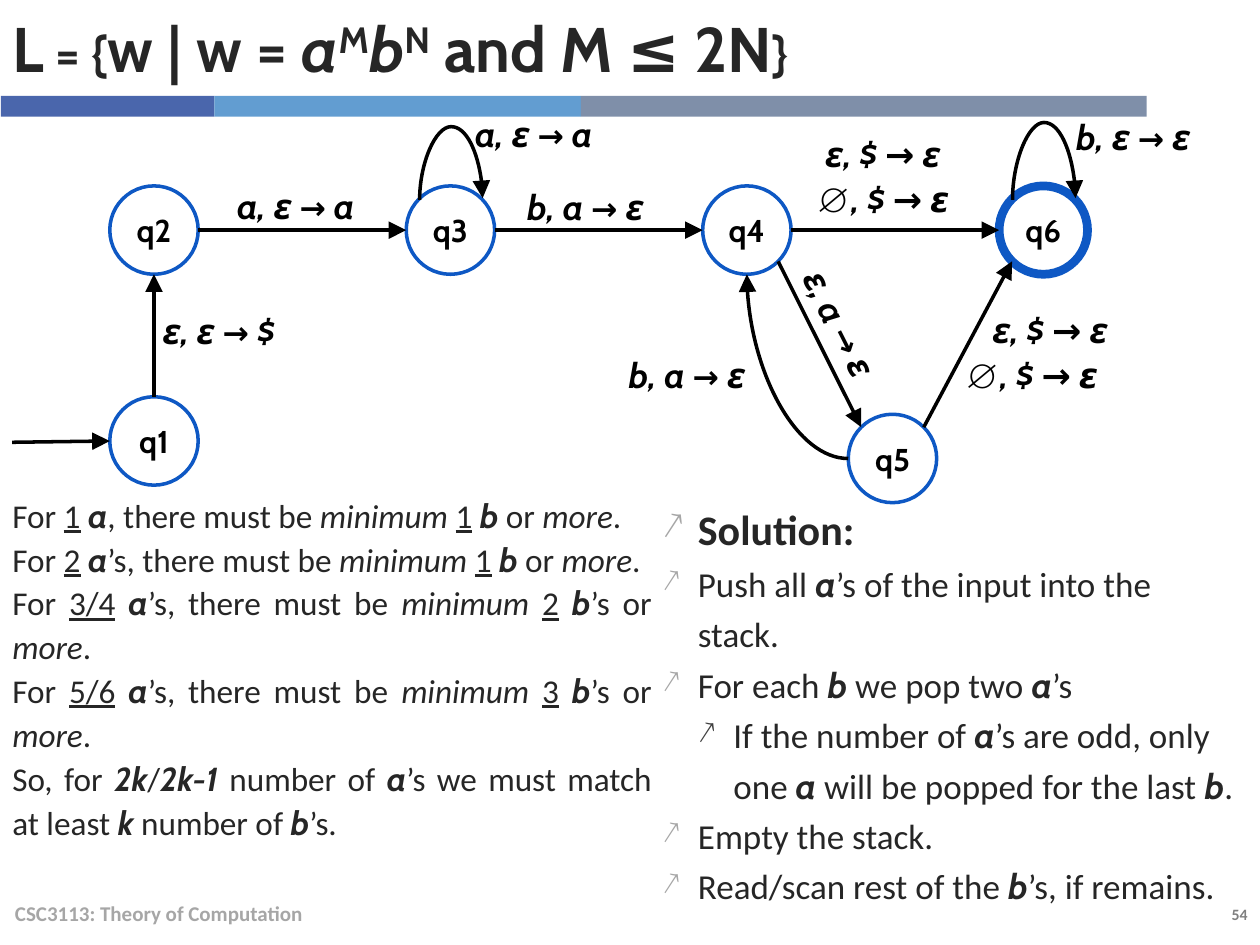
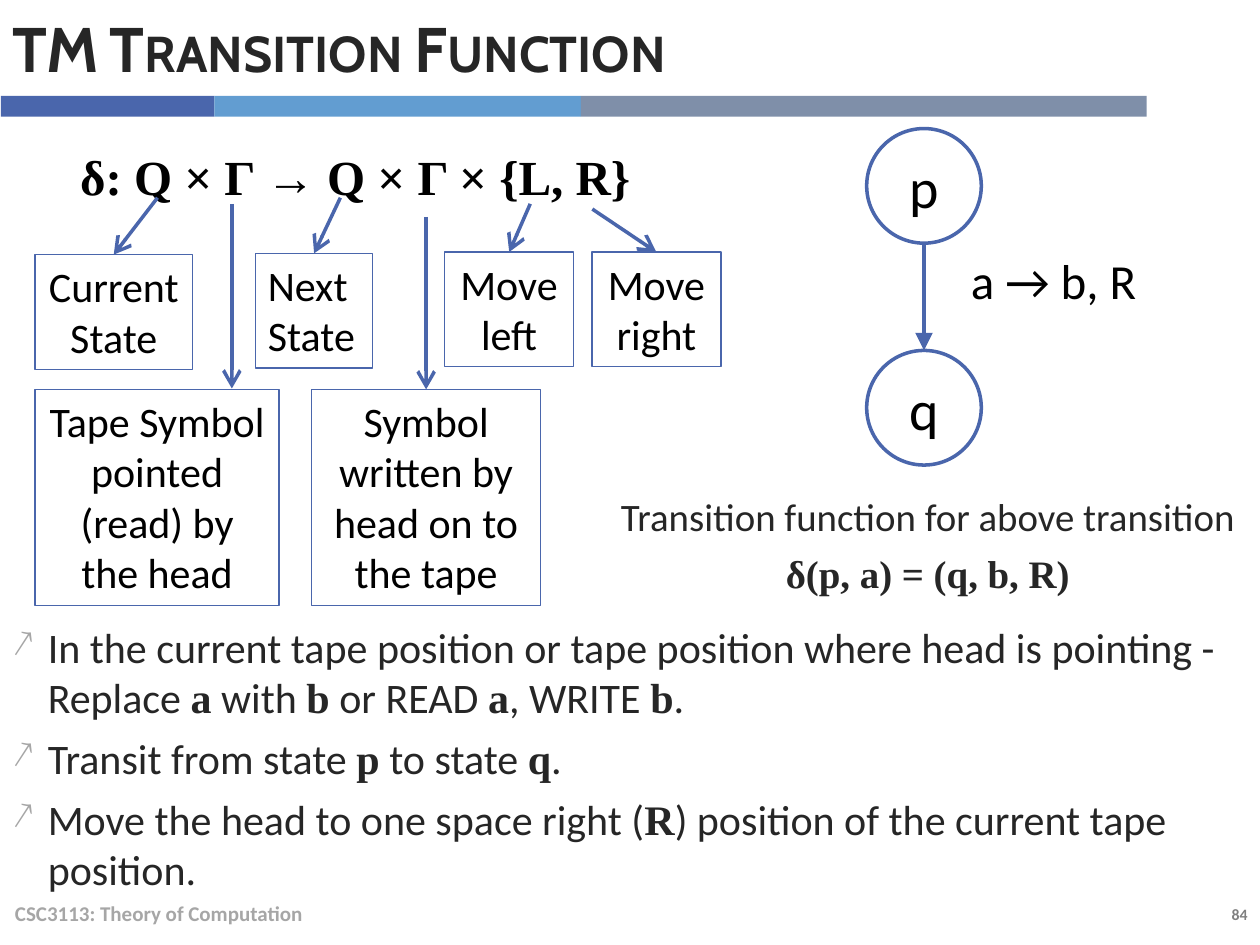
"""Build two lecture slides: a pushdown automaton and the Turing machine transition function."""
import math
from dataclasses import dataclass, replace
from typing import NamedTuple, Optional, Sequence

import lxml.etree
import pptx
import pptx.dml.color
import pptx.enum.shapes
import pptx.enum.text
import pptx.oxml.ns
import pptx.slide
import pptx.util

COLORS = {
    "ink": "000000", "text": "262626", "paper": "FFFFFF", "state": "0E58C4",
    "navy": "4A66AC", "sky": "629DD1", "slate": "7F8FA9",
    "footer": "A6A6A6", "number": "808080", "sub_bullet": "404040",
}
ALIGN = pptx.enum.text.PP_ALIGN
ANCHOR = pptx.enum.text.MSO_ANCHOR
SHAPE = pptx.enum.shapes.MSO_SHAPE
CONNECTOR = pptx.enum.shapes.MSO_CONNECTOR
TIMES = "Times New Roman"
MARKS = "*_~^#>+!"
qn = pptx.oxml.ns.qn


class Point(NamedTuple):
    x: float
    y: float


class Box(NamedTuple):
    left: float
    top: float
    width: float
    height: float


class Label(NamedTuple):
    text: str
    left: float
    top: float
    rotation: float = 0


class Note(NamedTuple):
    text: str
    box: Box
    align: ALIGN = ALIGN.CENTER


class Circle(NamedTuple):
    name: str
    x: float
    y: float
    radius: float = 25.25
    line_width: float = 2

    def rim(self, degrees: float) -> Point:
        """Return the point of the rim at a clockwise angle from the right."""
        angle = math.radians(degrees)
        return Point(self.x + self.radius * math.cos(angle), self.y + self.radius * math.sin(angle))


@dataclass(frozen=True)
class Style:
    size: float
    font: str = "Calibri"
    color: str = "text"
    bold: bool = False
    italic: bool = False
    symbol_font: str = "Cabin"
    align: ALIGN = ALIGN.LEFT
    anchor: ANCHOR = ANCHOR.TOP
    line_spacing: float = 1
    space_before: float = 0
    bullets: bool = False


CENTERED = {"align": ALIGN.CENTER, "anchor": ANCHOR.MIDDLE}
TITLE = Style(36, "Cabin", bold=True, anchor=ANCHOR.MIDDLE)
STATE_NAME = Style(18, "Cabin", "ink", bold=True, **CENTERED)
EDGE_LABEL = Style(20, "Cabin", "ink", bold=True, italic=True, **CENTERED)
FOOTER = Style(12, color="footer", bold=True, anchor=ANCHOR.MIDDLE)
NUMBER = Style(9, color="number", bold=True, align=ALIGN.RIGHT)

BANDS = [(0.5, 122, "navy"), (122.5, 209.5, "sky"), (332, 323.25, "slate")]
COLUMN, ROW = 169.4, 131.5
Q1, Q5 = Circle("q1", 88, 252), Circle("q5", 510, 262)
Q2, Q3, Q4 = (Circle(f"q{i + 2}", 88 + COLUMN * i, ROW) for i in range(3))
Q6 = Circle("q6", 88 + COLUMN * 3, ROW, line_width=5)
EDGE_LABELS = [
    Label("a, ε >→> a", 117.5, 100), Label("b, a >→> ε", 283, 100.5),
    Label("ε, a >→> ε", 428.5, 167.5, 63.2), Label("a, ε >→> a", 253.5, 59),
    Label("b, ε >→> ε", 596, 60.5), Label("b, a >→> ε", 341, 196.5),
    Label("ε, ε >→> $", 73.5, 171.5), Label("ε, $ → ε", 453, 70.5),
    Label("!∅!, $ → ε", 453, 96), Label("ε, $ → ε", 548.5, 171),
    Label("!∅!, $ → ε", 538, 197),
]
COUNTS = [
    f"For _{a}_ *a*{a_end}, there must be ~minimum ~_{b}_ *b*{b_end} or ~more~."
    for a, a_end, b, b_end in (("1", "", 1, ""), ("2", "’s", 1, ""), ("3/4", "’s", 2, "’s"),
                               ("5/6", "’s", 3, "’s"))
] + ["So, for *2k*/*2k-1* number of *a*’s we must match at least *k* number of *b*’s."]
SOLUTION = [
    "+Solution:+",
    "Push all *a*’s of the input into the stack.",
    "For each *b* we pop two *a*’s",
    "\tIf the number of *a*’s are odd, only one *a* will be popped for the last *b*.",
    "Empty the stack.",
    "Read/scan rest of the *b*’s, if remains.",
]
NOTES = [
    Note("Current State", Box(20, 145.5, 90, 65.5)),
    Note("Tape Symbol pointed (read) by the head", Box(20, 222.5, 139.5, 123.75)),
    Note("Next State", Box(146, 144.75, 67, 65.5), ALIGN.LEFT),
    Note("Symbol written by head on to the tape", Box(178, 222.5, 131, 123.75)),
    Note("Move left", Box(254, 144, 73.75, 65.5)),
    Note("Move right", Box(338.25, 144, 73.75, 65.5)),
]
POINTERS = [
    (Point(90, 113), Point(65, 145.5)), (Point(132.5, 116.5), Point(132.5, 222)),
    (Point(194.5, 113), Point(179.5, 144.75)), (Point(243.5, 124), Point(243.5, 222.5)),
    (Point(303, 116.5), Point(291, 144)), (Point(338.5, 119.5), Point(375, 144)),
]
STEPS = [
    "In the current tape position or tape position where head is pointing - "
    "Replace *a* with *b* or READ *a*, WRITE *b*.",
    "Transit from state *p* to state *q*.",
    "Move the head to one space right (*R*) position of the current tape position.",
]


def rgb(name: str) -> pptx.dml.color.RGBColor:
    """Look up a named colour."""
    return pptx.dml.color.RGBColor.from_string(COLORS[name])


def points(values: Sequence[float]) -> list[pptx.util.Length]:
    """Convert numbers to point lengths."""
    return [pptx.util.Pt(value) for value in values]


def format_run(run, marks: set[str], style: Style) -> None:
    """Apply * symbol, _ underline, ~ italic, ^ superscript, # caps, > small, + strong, ! upright."""
    symbol, upright, font = "*" in marks, "!" in marks, run.font
    font.name = TIMES if upright else style.symbol_font if symbol else style.font
    font.size = pptx.util.Pt(style.size * (0.9 if ">" in marks else 1.2 if "+" in marks else 1))
    font.bold = not upright and (style.bold or symbol or "+" in marks)
    slanted_symbol = symbol and style.symbol_font != TIMES
    font.italic = not upright and (style.italic or "~" in marks or slanted_symbol)
    font.underline = "_" in marks
    font.color.rgb = rgb(style.color)
    if "^" in marks:
        run._r.get_or_add_rPr().set("baseline", "30000")
    if "#" in marks:
        run._r.get_or_add_rPr().set("cap", "small")


def write_runs(paragraph, marked: str, style: Style) -> None:
    """Split marked text into formatted runs."""
    active: set[str] = set()
    piece = ""
    for char in marked + MARKS[0]:
        if char not in MARKS:
            piece += char
            continue
        if piece:
            run = paragraph.add_run()
            run.text, piece = piece, ""
            format_run(run, active, style)
        active ^= {char}


def add_bullet(paragraph) -> None:
    """Give a paragraph a hanging arrow bullet."""
    indent, level = pptx.util.Pt(20.25), paragraph.level
    properties = paragraph._p.get_or_add_pPr()
    properties.set("marL", str(indent * (level + 1)))
    properties.set("indent", str(-indent))
    color = lxml.etree.SubElement(properties, qn("a:buClr"))
    lxml.etree.SubElement(color, qn("a:srgbClr"), val=COLORS["sub_bullet" if level else "footer"])
    lxml.etree.SubElement(properties, qn("a:buSzPct"), val="90000")
    lxml.etree.SubElement(properties, qn("a:buChar"), char="↗")


def fill_text(frame, lines: Sequence[str], style: Style) -> None:
    """Fill a text frame; a leading tab lowers a line by one level."""
    frame.word_wrap = True
    frame.auto_size = pptx.enum.text.MSO_AUTO_SIZE.NONE
    frame.vertical_anchor = style.anchor
    for index, line in enumerate(lines):
        paragraph = frame.add_paragraph() if index else frame.paragraphs[0]
        paragraph.alignment = style.align
        paragraph.level = line.count("\t")
        paragraph.line_spacing = float(style.line_spacing)
        if index:
            paragraph.space_before = pptx.util.Pt(style.space_before)
        if style.bullets:
            add_bullet(paragraph)
        write_runs(paragraph, line.lstrip("\t"), style)


def add_text(slide: pptx.slide.Slide, box: Box, lines: Sequence[str], style: Style,
             rotation: float = 0) -> None:
    """Add a text box."""
    area = slide.shapes.add_textbox(*points(box))
    area.rotation = rotation
    fill_text(area.text_frame, lines, style)


def add_figure(slide: pptx.slide.Slide, kind: SHAPE, box: Box, fill: Optional[str] = None,
               line: Optional[str] = None, line_width: float = 2):
    """Add a flat preset shape."""
    figure = slide.shapes.add_shape(kind, *points(box))
    figure.shadow.inherit = False
    figure.line.width = pptx.util.Pt(line_width)
    for paint, color in ((figure.fill, fill), (figure.line.fill, line)):
        if color:
            paint.solid()
            paint.fore_color.rgb = rgb(color)
        else:
            paint.background()
    return figure


def add_circle(slide: pptx.slide.Slide, circle: Circle, style: Style, line: str,
               fill: Optional[str] = None) -> None:
    """Add a named state."""
    name, x, y, radius, width = circle
    box = Box(x - radius, y - radius, 2 * radius, 2 * radius)
    frame = add_figure(slide, SHAPE.OVAL, box, fill, line, width).text_frame
    frame.margin_left = frame.margin_right = frame.margin_top = frame.margin_bottom = 0
    fill_text(frame, [name], style)


def add_arrow(slide: pptx.slide.Slide, start: Point, end: Point, color: str = "ink",
              head: str = "triangle", kind: CONNECTOR = CONNECTOR.STRAIGHT, tip: str = "tailEnd"):
    """Add a connector with one large arrowhead."""
    arrow = slide.shapes.add_connector(kind, *points(start + end))
    arrow.line.color.rgb = rgb(color)
    arrow.line.width = pptx.util.Pt(2)
    outline = arrow.element.spPr.find(qn("a:ln"))
    lxml.etree.SubElement(outline, qn(f"a:{tip}"), type=head, w="lg", len="lg")
    lxml.etree.SubElement(arrow.element.spPr, qn("a:effectLst"))
    return arrow


def add_curve(slide: pptx.slide.Slide, start: Point, end: Point, turn: int, preset: str,
              tip: str, bend: float = 0) -> None:
    """Add a curved arrow turned a quarter clockwise (1) or back (-1)."""
    x, y = (start.x + end.x) / 2, (start.y + end.y) / 2
    corners = [Point(x + turn * (p.y - y), y - turn * (p.x - x)) for p in (start, end)]
    properties = add_arrow(slide, *corners, kind=CONNECTOR.CURVE, tip=tip).element.spPr
    properties.find(qn("a:xfrm")).set("rot", str(turn % 4 * 90 * 60000))
    geometry = properties.find(qn("a:prstGeom"))
    geometry.set("prst", preset)
    if bend:
        lxml.etree.SubElement(geometry.find(qn("a:avLst")), qn("a:gd"), name="adj1",
                              fmla=f"val {round(bend * 100000)}")


def start_slide(deck, title: str, number: int) -> pptx.slide.Slide:
    """Add a slide with title, bands, footer and number."""
    slide = deck.slides.add_slide(deck.slide_layouts[5])
    heading = slide.shapes.title
    heading.left, heading.top, heading.width, heading.height = points((0, 0, 655, 54))
    fill_text(heading.text_frame, [title], TITLE)
    for left, width, color in BANDS:
        add_figure(slide, SHAPE.RECTANGLE, Box(left, 54.75, width, 12), color)
    add_text(slide, Box(1.5, 507.5, 482.5, 29), ["CSC3113: Theory of Computation"], FOOTER)
    add_text(slide, Box(628.5, 513.25, 91.5, 18), [str(number)], NUMBER)
    return slide


def build_automaton(deck) -> None:
    """Draw the pushdown automaton slide."""
    slide = start_slide(deck, "#L = {#w | w = ~a~^M^~b~^N^ and M ≤ 2N#}#", 54)
    add_text(slide, Box(0, 277, 379.5, 237), COUNTS, Style(19, align=ALIGN.JUSTIFY, line_spacing=1.1))
    for state in (Q1, Q2, Q3, Q5, Q4, Q6):
        add_circle(slide, state, STATE_NAME, "state", "paper")
    for start, end in ((Point(7, 252.75), Q1.rim(180)), (Q1.rim(270), Q2.rim(90)),
                       (Q2.rim(0), Q3.rim(180)), (Q3.rim(0), Q4.rim(180)), (Q4.rim(0), Q6.rim(180)),
                       (Q5.rim(-45), Q6.rim(135)), (Q4.rim(45), Q5.rim(225))):
        add_arrow(slide, start, end)
    add_curve(slide, Q4.rim(90), Q5.rim(180), -1, "curvedConnector2", "headEnd")
    for state, rise in ((Q3, 42.18), (Q6, 44.58)):
        start, end = Point(state.x - 17.6, 114.25), Point(state.x + 18.4, 113.25)
        add_curve(slide, start, end, 1, "curvedConnector3", "tailEnd", rise)
    for text, left, top, rotation in EDGE_LABELS:
        add_text(slide, Box(left, top, 103, 34.5), [text], EDGE_LABEL, rotation)
    add_text(slide, Box(371.5, 278.5, 343, 235.5), SOLUTION, Style(20, line_spacing=1.2, bullets=True))


def build_transition(deck) -> None:
    """Draw the transition function slide."""
    slide = start_slide(deck, "#TM Transition Function#", 84)
    steps = Style(24, symbol_font=TIMES, space_before=6, bullets=True)
    add_text(slide, Box(0, 351.5, 719.5, 155.5), STEPS, steps)
    add_text(slide, Box(38.75, 80, 336, 41), ["δ: Q × Γ → Q × Γ × {L, R}"], Style(28, TIMES, "ink", True))
    for text, box, align in NOTES:
        note = add_figure(slide, SHAPE.RECTANGLE, box, line="navy", line_width=0.75)
        fill_text(note.text_frame, [text], Style(24, color="ink", align=align))
    for start, end in POINTERS:
        add_arrow(slide, start, end, "navy", "arrow")
    add_text(slide, Box(340.5, 278, 379.5, 68.5),
             ["Transition function for above transition", "*δ(p, a) = (q, b, R)*"],
             replace(steps, size=22.2, align=ALIGN.CENTER, bullets=False))
    p, q = Circle("p", 528, 106.2, 32.75), Circle("q", 528, 233, 32.75)
    for state in (p, q):
        add_circle(slide, state, Style(32, color="ink", **CENTERED), "navy")
    add_arrow(slide, p.rim(90), q.rim(270), "navy")
    add_text(slide, Box(540.5, 134, 123, 52.5), ["a → b, R"], Style(28, color="ink", **CENTERED))


deck = pptx.Presentation()
deck.slide_width, deck.slide_height = points((720, 540))
build_automaton(deck)
build_transition(deck)
deck.save("out.pptx")
